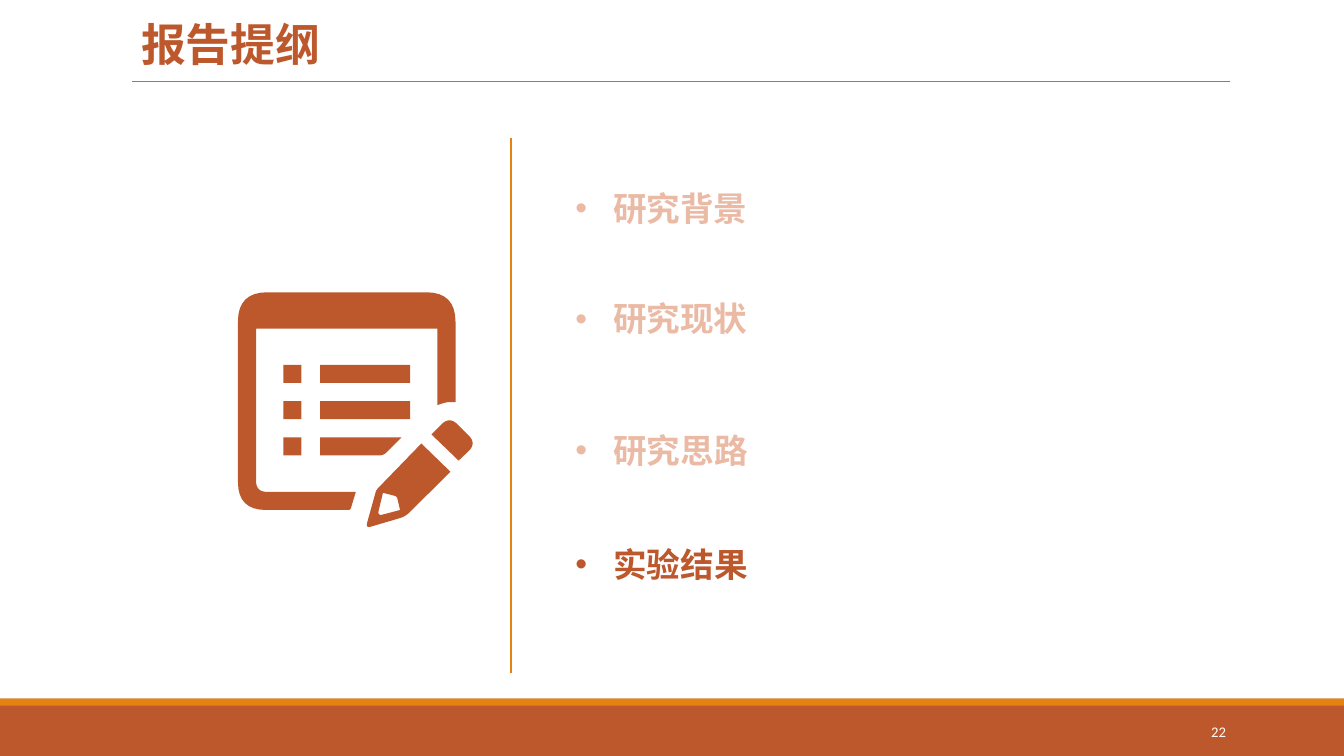
"""Build the report outline slide with its notepad icon and highlighted section."""
import dataclasses

import pptx
import pptx.chart.data
import pptx.dml.color
import pptx.enum.shapes
import pptx.enum.text
import pptx.oxml
import pptx.oxml.ns
import pptx.util
from lxml import etree

Pt = pptx.util.Pt
ALIGN = pptx.enum.text.PP_ALIGN
ANCHOR = pptx.enum.text.MSO_ANCHOR


@dataclasses.dataclass(frozen=True)
class Theme:
    """Colours, fonts and type sizes of the slide."""
    rust: str = "BD582C"
    faded: str = "EABAA5"
    orange: str = "E48312"
    grey: str = "808080"
    white: str = "FFFFFF"
    text_font: str = "Times New Roman"
    number_font: str = "Calibri"
    title_size: float = 32
    item_size: float = 24
    number_size: float = 10.5


THEME = Theme()
SLIDE_SIZE = (960, 540)

TITLE = ("报告提纲", (93.6, 14.4, 614.2, 38.9))
PAGE_NUMBER = ("22", (779.8, 508.3, 103, 28.8))

ITEM_LEFT, ITEM_INDENT = 403.9, 27
ITEMS = [
    ("研究背景", 130.3, 241.9, 36.3, 1, THEME.faded),
    ("研究现状", 209.5, 276.5, 36.3, 1, THEME.faded),
    ("研究思路", 289.4, 512.6, 46.1, 1.5, THEME.faded),
    ("实验结果", 385.2, 404.6, 36.3, 1, THEME.rust),
]

BANDS = [
    ((0, 504, 960, 36), THEME.rust),
    ((0, 499, 960, 36), THEME.rust),
    ((0, 499, 960, 5), THEME.orange),
]
RULES = [
    ((94.3, 58.1, 878.8, 58.1), THEME.grey, 0.5),
    ((365, 98.6, 365, 480.4), THEME.orange, 1),
]

ROW_TOP, ROW_STEP, ROW_HEIGHT = 260.7, 25.9, 12.8
BULLET_LEFT, BAR_LEFT, BAR_WIDTH = 202.5, 228.7, 64.2

# Each corner is x, y and the rounding distance along its two edges.
NOTEPAD = [(254.2, 351.4, 0), (250.3, 364.3, 1.5), (170, 364.3, 20), (170, 208.8, 21),
           (325.4, 208.8, 21), (325.4, 287.2, 0), (319, 287.2, 3), (312.5, 289.4, 0),
           (312.5, 234.7, 0), (182.9, 234.7, 0), (182.9, 351.4, 8), (200, 351.4, 0)]
PENCIL = [(301, 316.8, 0), (321.8, 337, 0), (289.5, 369, 4), (261.2, 377.3, 4),
          (268.8, 350, 2)]
PENCIL_TIP = [(273.6, 352, 0), (269.6, 368.6, 4), (285.8, 364.3, 0), (283.5, 354.6, 1.5)]
ERASER = [(308.2, 310.3, 0), (321.1, 297.4, 8), (340.5, 316.8, 8), (327.6, 329, 0)]
CUT_BAR = [(228.7, 312.5, 0), (286.8, 312.5, 0), (274, 325.3, 3), (228.7, 325.3, 0)]
OUTLINES = [[NOTEPAD], [PENCIL, PENCIL_TIP], [ERASER], [CUT_BAR]]


def colour(value):
    return pptx.dml.color.RGBColor.from_string(value)


def paint(shape, value):
    shape.shadow.inherit = False
    shape.fill.solid()
    shape.fill.fore_color.rgb = colour(value)
    shape.line.fill.background()


def add_block(shapes, place, value):
    kind = pptx.enum.shapes.MSO_SHAPE.RECTANGLE
    paint(shapes.add_shape(kind, *map(Pt, place)), value)


def add_rule(page, ends, value, width):
    kind = pptx.enum.shapes.MSO_CONNECTOR.STRAIGHT
    rule = page.shapes.add_connector(kind, *map(Pt, ends))
    rule.line.color.rgb = colour(value)
    rule.line.width = Pt(width)
    etree.SubElement(rule.element.spPr, pptx.oxml.ns.qn("a:effectLst"))


def toward(start, end, distance):
    dx, dy = end[0] - start[0], end[1] - start[1]
    share = distance / (dx * dx + dy * dy) ** 0.5
    return start[0] + dx * share, start[1] + dy * share


def rounded(corners, steps=8):
    points = []
    for index, (x, y, radius) in enumerate(corners):
        if not radius:
            points.append((x, y))
            continue
        first = toward((x, y), corners[index - 1], radius)
        last = toward((x, y), corners[(index + 1) % len(corners)], radius)
        for step in range(steps + 1):
            t = step / steps
            weights = ((1 - t) ** 2, 2 * t * (1 - t), t * t)
            points.append(tuple(sum(w * p[axis] for w, p in zip(weights, (first, (x, y), last)))
                                for axis in (0, 1)))
    return [(Pt(x), Pt(y)) for x, y in points]


def add_outline(shapes, contours):
    paths = [rounded(corners) for corners in contours]
    builder = shapes.build_freeform(*paths[0][0], scale=1.0)
    builder.add_line_segments(paths[0][1:], close=True)
    for points in paths[1:]:
        builder.move_to(*points[0])
        builder.add_line_segments(points[1:], close=True)
    paint(builder.convert_to_shape(), THEME.rust)


def add_icon(page):
    shapes = page.shapes.add_group_shape().shapes
    for contours in OUTLINES:
        add_outline(shapes, contours)
    for row in range(3):
        top = ROW_TOP + row * ROW_STEP
        add_block(shapes, (BULLET_LEFT, top, ROW_HEIGHT, ROW_HEIGHT), THEME.rust)
        if row < 2:
            add_block(shapes, (BAR_LEFT, top, BAR_WIDTH, ROW_HEIGHT), THEME.rust)


def write(box, text, font, size, value, bold=True, align=ALIGN.LEFT, anchor=ANCHOR.TOP, spacing=1):
    frame = box.text_frame
    frame.text = text
    frame.word_wrap = True
    frame.auto_size = pptx.enum.text.MSO_AUTO_SIZE.NONE
    frame.vertical_anchor = anchor
    para = frame.paragraphs[0]
    para.alignment = align
    para.line_spacing = spacing
    span = para.runs[0]
    span.font.name = font
    span.font.size = Pt(size)
    span.font.bold = bold
    span.font.color.rgb = colour(value)
    return para


def add_bullet(para):
    settings = para._p.get_or_add_pPr()
    settings.set("marL", str(Pt(ITEM_INDENT)))
    settings.set("indent", str(-Pt(ITEM_INDENT)))
    etree.SubElement(settings, pptx.oxml.ns.qn("a:buFont")).set("typeface", "Arial")
    etree.SubElement(settings, pptx.oxml.ns.qn("a:buChar")).set("char", "•")


def main():
    deck = pptx.Presentation()
    deck.slide_width, deck.slide_height = map(Pt, SLIDE_SIZE)
    page = deck.slides.add_slide(deck.slide_layouts[5])

    for place, value in BANDS:
        add_block(page.shapes, place, value)
    for ends, value, width in RULES:
        add_rule(page, ends, value, width)
    add_icon(page)

    text, place = TITLE
    title = page.shapes.title
    title.left, title.top, title.width, title.height = map(Pt, place)
    write(title, text, THEME.text_font, THEME.title_size, THEME.rust, spacing=0.85)

    for text, top, width, height, spacing, value in ITEMS:
        box = page.shapes.add_textbox(*map(Pt, (ITEM_LEFT, top, width, height)))
        add_bullet(write(box, text, THEME.text_font, THEME.item_size, value, spacing=spacing))

    text, place = PAGE_NUMBER
    write(page.shapes.add_textbox(*map(Pt, place)), text, THEME.number_font, THEME.number_size,
          THEME.white, bold=False, align=ALIGN.RIGHT, anchor=ANCHOR.MIDDLE)
    deck.save("out.pptx")


if __name__ == "__main__":
    main()
